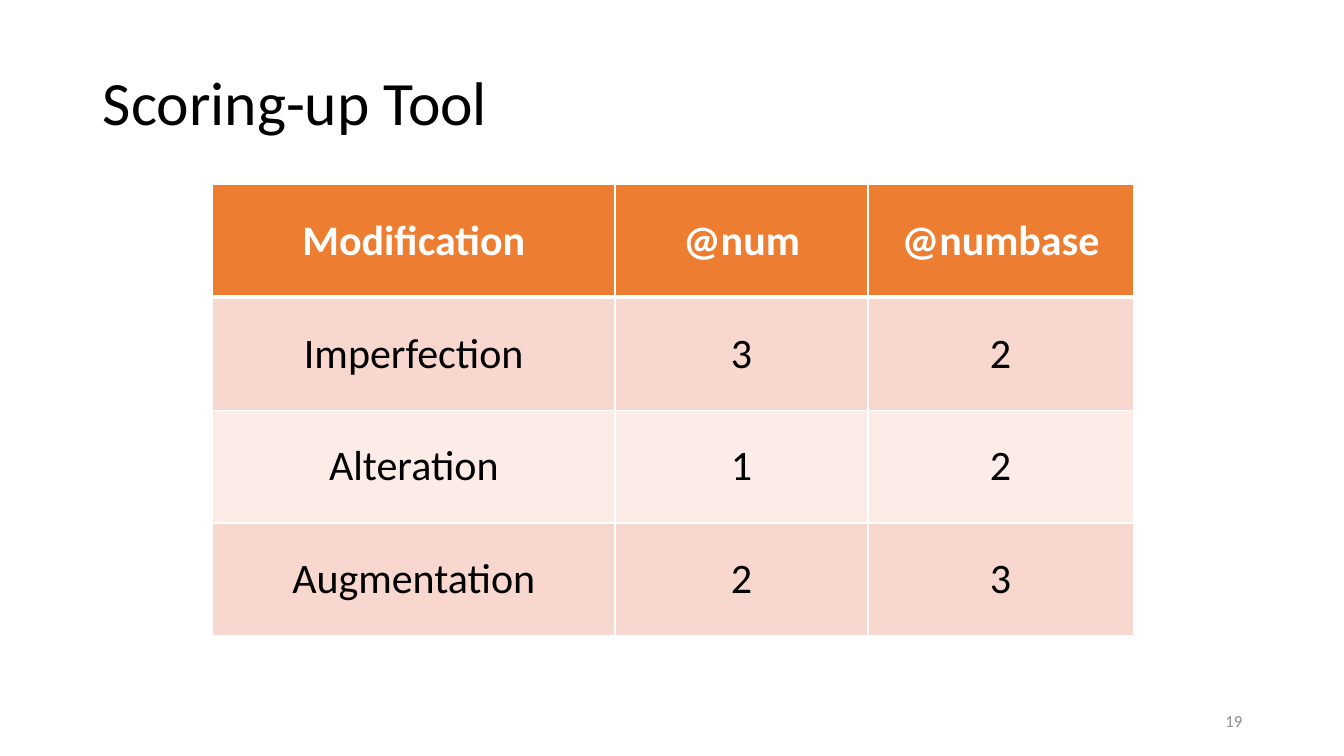
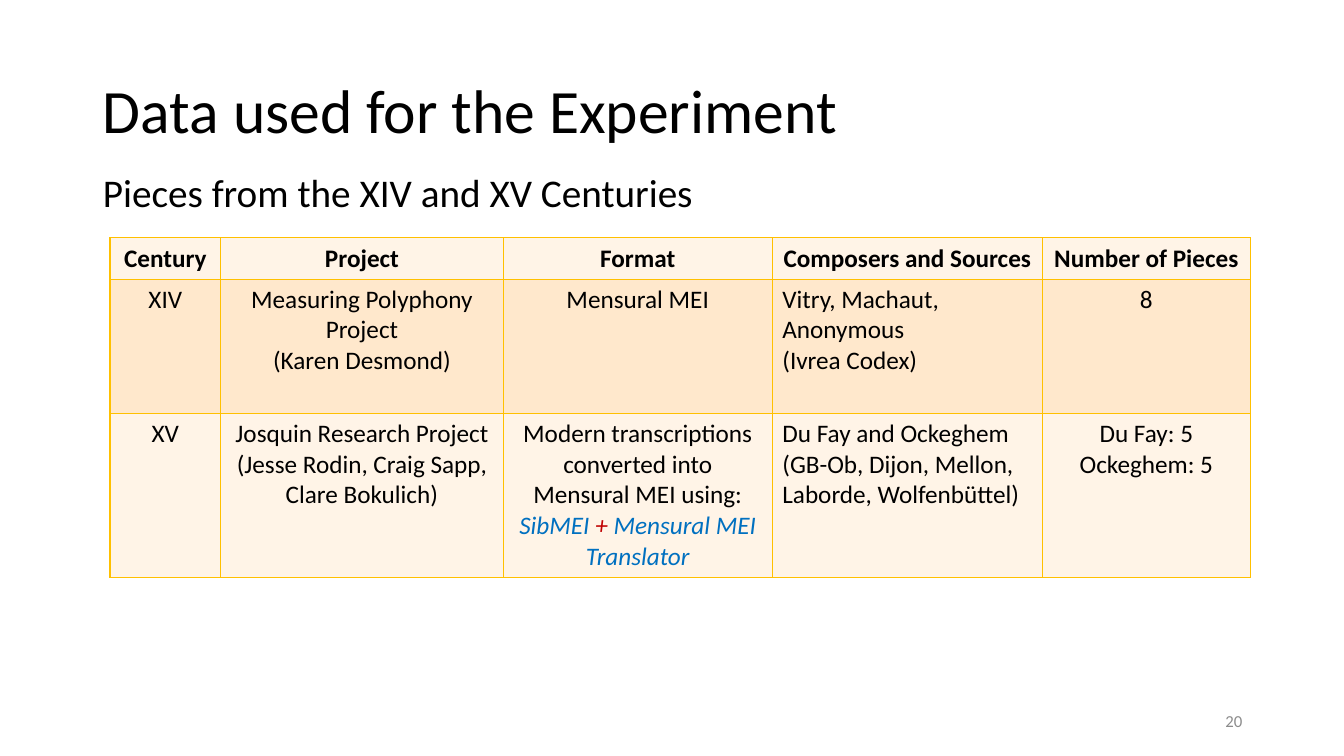
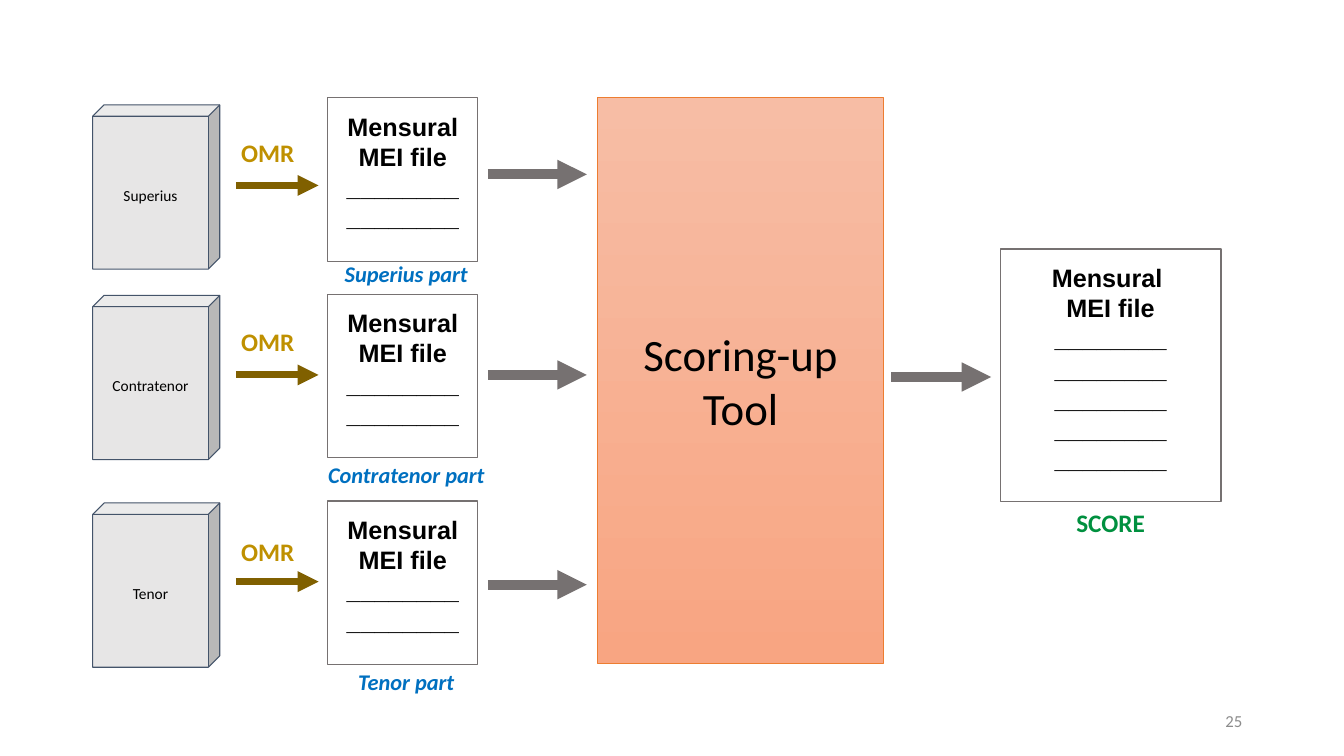
from lxml import etree
from pptx import Presentation
from pptx.dml.color import RGBColor
from pptx.enum.shapes import MSO_CONNECTOR, MSO_SHAPE
from pptx.enum.text import MSO_ANCHOR, MSO_AUTO_SIZE, PP_ALIGN
from pptx.oxml.ns import qn
from pptx.util import Inches, Pt

LEFT, MID, RIGHT = PP_ALIGN.LEFT, PP_ALIGN.CENTER, PP_ALIGN.RIGHT
TOP, CENTRE = MSO_ANCHOR.TOP, MSO_ANCHOR.MIDDLE
FIXED = MSO_AUTO_SIZE.NONE
RECT, CUBE = MSO_SHAPE.RECTANGLE, MSO_SHAPE.CUBE
LINE = MSO_CONNECTOR.STRAIGHT

COLS = {
    "black": "000000", "white": "FFFFFF", "page": "8C8C8C",
    "head": "ED7D31", "rose": "F8D7CE", "blush": "FCECE8",
    "gold": "FFC000", "cream": "FFF4E7", "peach": "FFE8CC",
    "blue": "0070C0", "red": "C00000", "green": "00903F",
    "omr": "BF9000", "brown": "806000", "grey": "767171",
    "cube": "E7E6E6", "slate": "44546A",
    "light": "F7BDA5", "deep": "F8A582",
}


def rgb(name):
    return RGBColor.from_string(COLS[name])


class Deck:
    """Holds the shared style and the current slide."""

    def __init__(self):
        self.prs = Presentation()
        self.prs.slide_width = Inches(13.33)
        self.prs.slide_height = Inches(7.5)
        self.slide = None

    def start(self, layout, page):
        self.slide = self.prs.slides.add_slide(self.prs.slide_layouts[layout])
        self.label((9.42, 6.95, 3, 0.4), str(page), 12, "page", align=RIGHT)

    def words(self, frame, text, size, color="black", bold=False, ital=False,
              align=MID, font="Calibri", space=None):
        """Each line of text is a paragraph; a list holds (text, colour) runs."""
        paras = text.split("\n") if isinstance(text, str) else text
        for i, para in enumerate(paras):
            p = frame.paragraphs[0] if i == 0 else frame.add_paragraph()
            p.alignment = align
            p.line_spacing = space
            mixed = not isinstance(para, str)
            for part, tone in para if mixed else [(para, None)]:
                run = p.add_run()
                run.text = part
                if tone:
                    run.font.color.rgb = rgb(tone)
            p.font.name, p.font.size = font, Pt(size)
            p.font.bold, p.font.italic = bold, ital or mixed
            p.font.color.rgb = rgb(color)

    def frame(self, shape, anchor, pad=0.05):
        frame = shape.text_frame
        frame.word_wrap, frame.auto_size = True, FIXED
        frame.vertical_anchor = anchor
        frame.margin_left = frame.margin_right = Inches(0.1)
        frame.margin_top, frame.margin_bottom = Inches(pad), Inches(0.05)
        return frame

    def holder(self, idx, box, text, size, anchor):
        shape = self.slide.placeholders[idx]
        shape.left, shape.top, shape.width, shape.height = map(Inches, box)
        frame = self.frame(shape, anchor)
        props = frame.paragraphs[0]._p.get_or_add_pPr()
        props.set("marL", "0")
        props.set("indent", "0")
        etree.SubElement(props, qn("a:buNone"))
        self.words(frame, text, size, align=LEFT, space=0.9)

    def title(self, text, height):
        self.holder(0, (0.92, 0.4, 11.5, height), text, 44, CENTRE)

    def body(self, box, text):
        self.holder(1, box, text, 28, TOP)

    def label(self, box, text, size, color, anchor=CENTRE, **style):
        shape = self.slide.shapes.add_textbox(*map(Inches, box))
        self.words(self.frame(shape, anchor), text, size, color, **style)

    def shape(self, kind, box, text, size, fill, line, width=0.75,
              anchor=CENTRE, pad=0.05, **style):
        shape = self.slide.shapes.add_shape(kind, *map(Inches, box))
        shape.shadow.inherit = False
        if fill is None:
            shape.fill.background()
        elif isinstance(fill, tuple):
            shape.fill.gradient()
            shape.fill.gradient_angle = 270
            for stop, tone in zip(shape.fill.gradient_stops, fill):
                stop.color.rgb = rgb(tone)
        else:
            shape.fill.solid()
            shape.fill.fore_color.rgb = rgb(fill)
        shape.line.color.rgb = rgb(line)
        shape.line.width = Pt(width)
        self.words(self.frame(shape, anchor, pad), text, size, **style)
        return shape

    def book(self, box, text):
        self.shape(CUBE, box, text, 11, "cube", "slate",
                   pad=0.1).adjustments[0] = 0.09

    def sheet(self, box, head, rules):
        text = "\n".join([head] + ["________"] * rules)
        self.shape(RECT, box, text, 18, None, "grey", anchor=TOP, pad=0.13,
                   bold=True, font="Arial")

    def arrow(self, left, right, y, color, width):
        line = self.slide.shapes.add_connector(
            LINE, Inches(left), Inches(y), Inches(right), Inches(y))
        line.line.color.rgb = rgb(color)
        line.line.width = Pt(width)
        etree.SubElement(line.line._get_or_add_ln(), qn("a:tailEnd"),
                         type="triangle")
        etree.SubElement(line._element.spPr, qn("a:effectLst"))

    def edges(self, cell, color, **widths):
        props = cell._tc.get_or_add_tcPr()
        for i, side in enumerate("LRTB"):
            width = Pt(widths.get(side, 1))
            ln = etree.Element(qn("a:ln" + side), w=str(width))
            fill = etree.SubElement(ln, qn("a:solidFill"))
            etree.SubElement(fill, qn("a:srgbClr"), val=COLS[color])
            props.insert(i, ln)

    def table(self, left, top, cols, highs, rows, size, fills, edge,
              ink="black", rule=1, anchor=TOP, lefts=()):
        grid = self.slide.shapes.add_table(
            len(rows), len(cols), Inches(left), Inches(top),
            Inches(sum(cols)), Inches(sum(highs))).table
        grid.first_row = grid.horz_banding = False
        for col, width in zip(grid.columns, cols):
            col.width = Inches(width)
        for r, row in enumerate(rows):
            grid.rows[r].height = Inches(highs[r])
            for c, text in enumerate(row):
                cell, head = grid.cell(r, c), r == 0
                cell.fill.solid()
                cell.fill.fore_color.rgb = rgb(fills[r])
                cell.vertical_anchor = CENTRE if head else anchor
                self.edges(cell, edge, T=rule if r == 1 else 1,
                           B=rule if head else 1)
                self.words(cell.text_frame, text, size,
                           ink if head else "black", bold=head,
                           align=LEFT if c in lefts and not head else MID)


def main():
    deck = Deck()

    # Table of modifications
    deck.start(5, 19)
    deck.title("Scoring-up Tool", 1.3)
    rows = [
        ("Modification", "@num", "@numbase"),
        ("Imperfection", "3", "2"),
        ("Alteration", "1", "2"),
        ("Augmentation", "2", "3"),
    ]
    deck.table(2.11, 1.83, (3.99, 2.51, 2.63), [1.12] * 4, rows, 30,
               ("head", "rose", "blush", "rose"), "white",
               ink="white", rule=3, anchor=CENTRE)

    # Table of data
    deck.start(1, 20)
    deck.title("Data used for the Experiment", 1.45)
    deck.body((0.92, 1.67, 11.5, 0.61), "Pieces from the XIV and XV Centuries")
    tools = ["Modern transcriptions converted into Mensural MEI using:",
             [("SibMEI ", "blue"), ("+ ", "red"),
              ("Mensural MEI Translator", "blue")]]
    rows = [
        ("Century", "Project", "Format", "Composers and Sources",
         "Number of Pieces"),
        ("XIV", "Measuring Polyphony Project\n(Karen Desmond)",
         "Mensural MEI", "Vitry, Machaut, Anonymous\n(Ivrea Codex)", "8"),
        ("XV", "Josquin Research Project\n"
         "(Jesse Rodin, Craig Sapp, Clare Bokulich)", tools,
         "Du Fay and Ockeghem\n"
         "(GB-Ob, Dijon, Mellon, Laborde, Wolfenbüttel)",
         "Du Fay: 5\nOckeghem: 5"),
    ]
    deck.table(1.09, 2.36, (1.1, 2.8, 2.67, 2.68, 2.06), (0.41, 1.33, 1.6),
               rows, 18, ("cream", "peach", "cream"), "gold", lefts=(3,))

    # Flow from the parts to the score
    deck.start(6, 25)
    parts = [  # name, then tops of book, OMR, sheet, caption; arrow heights
        ("Superius", 1.04, 1.28, 0.97, 2.53, 1.84, 1.73),
        ("Contratenor", 2.93, 3.16, 2.92, 4.53, 3.72, 3.72),
        ("Tenor", 4.99, 5.24, 4.97, 6.58, 5.77, 5.8),
    ]
    for name, book, omr, sheet, note, scan, feed in parts:
        deck.book((0.92, book, 1.26, 1.63), name)
        deck.label((2.23, omr, 0.85, 0.46), "OMR", 18, "omr", bold=True)
        deck.arrow(2.34, 3.16, scan, "brown", 5)
        deck.sheet((3.25, sheet, 1.49, 1.62), "Mensural MEI file", 2)
        deck.label((3.08, note, 1.9, 0.37), name + " part", 16, "blue",
                   anchor=TOP, bold=True, ital=True)
        deck.arrow(4.84, 5.82, feed, "grey", 7)

    deck.shape(RECT, (5.93, 0.97, 2.83, 5.61), "Scoring-up\nTool", 32,
               ("light", "deep"), "head", width=0.5)
    deck.arrow(8.84, 9.83, 3.74, "grey", 7)
    deck.sheet((9.92, 2.47, 2.19, 2.51), "Mensural \nMEI file", 5)
    deck.label((9.92, 4.98, 2.19, 0.4), "SCORE", 18, "green",
               anchor=TOP, bold=True)

    deck.prs.save("out.pptx")


if __name__ == "__main__":
    main()
